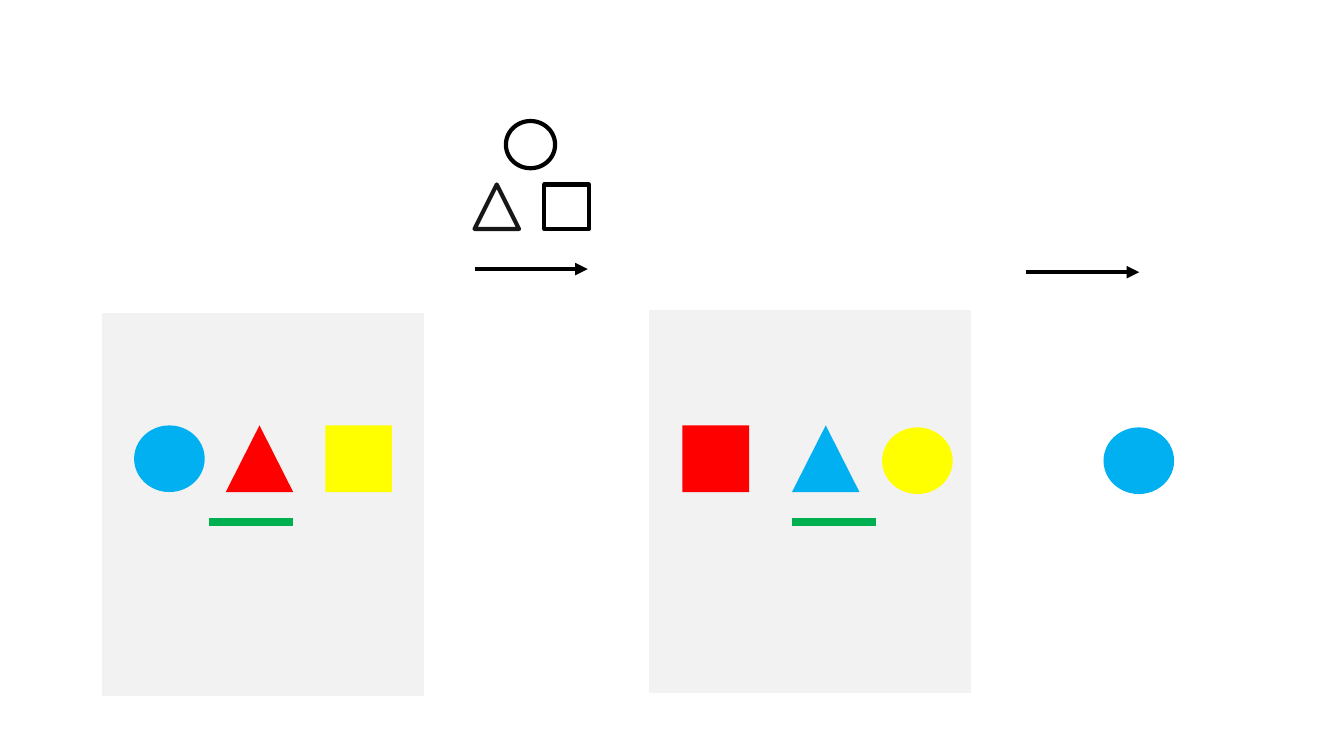
import pptx
import pptx.util
import pptx.dml.color
import pptx.enum.shapes
import pptx.oxml.ns
from lxml import etree

Cm, Pt = pptx.util.Cm, pptx.util.Pt
Kind = pptx.enum.shapes.MSO_SHAPE
qn = pptx.oxml.ns.qn

COLORS = {
    "panel": "F2F2F2",
    "red": "FF0000",
    "blue": "00B0F0",
    "yellow": "FFFF00",
    "green": "00B050",
    "black": "000000",
    "dark": "181717",
}
SIZES = {
    Kind.ISOSCELES_TRIANGLE: (1.7, 1.68),
    Kind.OVAL: (1.78, 1.68),
    Kind.RECTANGLE: (1.68, 1.68),
}

deck = pptx.Presentation()
deck.slide_width, deck.slide_height = Cm(33.87), Cm(19.05)
slide = deck.slides.add_slide(deck.slide_layouts[6])


def draw(kind, left, top, size, fill=None, line=None, weight=3):
    """Add a preset shape; a missing fill or line colour means none."""
    shape = slide.shapes.add_shape(kind, Cm(left), Cm(top), Cm(size[0]), Cm(size[1]))
    shape.shadow.inherit = False
    for part, color in ((shape.fill, fill), (shape.line.fill, line)):
        if color:
            part.solid()
            part.fore_color.rgb = pptx.dml.color.RGBColor.from_string(COLORS[color])
        else:
            part.background()
    if line:
        shape.line.width = Pt(weight)


def rule(start, end, top, color, weight, arrow=False):
    """Add a level line, with an arrowhead at its end on request."""
    link = slide.shapes.add_connector(
        pptx.enum.shapes.MSO_CONNECTOR.STRAIGHT, Cm(start), Cm(top), Cm(end), Cm(top))
    link.line.color.rgb = pptx.dml.color.RGBColor.from_string(COLORS[color])
    link.line.width = Pt(weight)
    if arrow:
        etree.SubElement(link.line._ln, qn("a:tailEnd"), type="triangle")
    etree.SubElement(link._element.spPr, qn("a:effectLst"))


# Grey panels
for left, top in ((2.59, 7.9), (16.38, 7.82)):
    draw(Kind.RECTANGLE, left, top, (8.08, 9.63), "panel", "panel", 1)

# Coloured shapes in both panels, and the answer at the right
for kind, left, top, color in (
    (Kind.OVAL, 3.38, 10.72, "blue"),
    (Kind.ISOSCELES_TRIANGLE, 5.69, 10.72, "red"),
    (Kind.RECTANGLE, 8.2, 10.72, "yellow"),
    (Kind.RECTANGLE, 17.2, 10.72, "red"),
    (Kind.ISOSCELES_TRIANGLE, 19.96, 10.72, "blue"),
    (Kind.OVAL, 22.23, 10.77, "yellow"),
    (Kind.OVAL, 27.81, 10.77, "blue"),
):
    draw(kind, left, top, SIZES[kind], color)

# Outlined shapes above the first arrow
draw(Kind.ISOSCELES_TRIANGLE, 11.96, 4.65, (1.12, 1.12), line="dark")
draw(Kind.OVAL, 12.75, 3.05, (1.24, 1.19), line="black")
draw(Kind.RECTANGLE, 13.72, 4.65, (1.12, 1.12), line="black")

# Arrows between the steps
for start, top in ((11.96, 6.78), (25.86, 6.86)):
    rule(start, start + 2.85, top, "black", 3, arrow=True)

# Green bars under the triangles
for start in (5.27, 19.96):
    rule(start, start + 2.12, 13.16, "green", 6)

deck.save("out.pptx")
